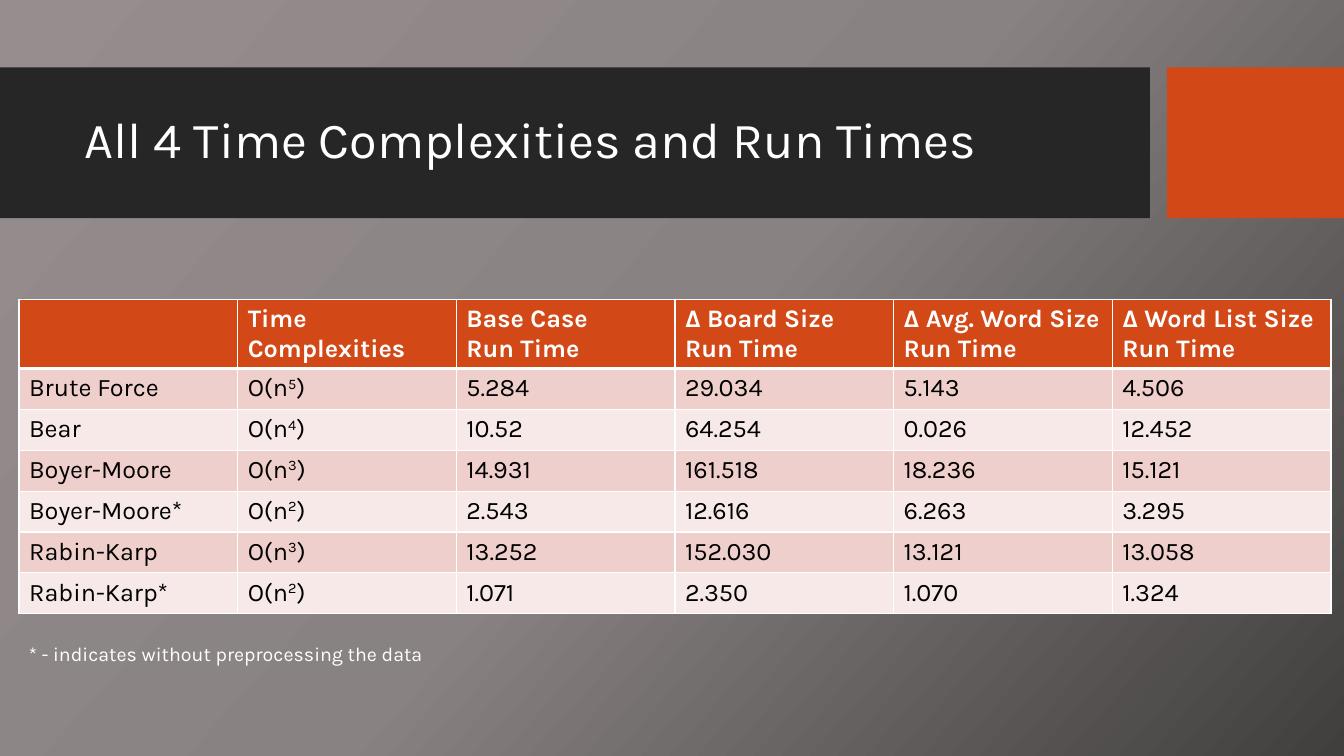
"""Build the slide of time complexities and run times."""
import copy
import pptx
import pptx.dml.color
import pptx.enum.shapes
import pptx.enum.text
import pptx.oxml
import pptx.oxml.ns
import pptx.util

Cm, Pt = pptx.util.Cm, pptx.util.Pt
RGB = pptx.dml.color.RGBColor.from_string
qn = pptx.oxml.ns.qn


class Theme:
    font = "Karla"
    white, black = "FFFFFF", "000000"
    dark, rust = "262626", "D34817"
    bands = ("EFCFCC", "F7E9E8")
    fade = ((0, "968E8E"), (0.5, "898282"), (1, "413E3E"))
    angle = 318
    head, body, note = 36, 18, 14
    thin, thick = 1, 3


class Deck:
    def __init__(self, theme):
        self.theme = theme
        self.file = pptx.Presentation()
        self.file.slide_width = Cm(33.87)
        self.file.slide_height = Cm(19.05)
        self.slide = self.file.slides.add_slide(self.file.slide_layouts[5])

    def style(self, item, values):
        for name, value in values.items():
            setattr(item, name, value)

    def place(self, shape, box):
        names = ("left", "top", "width", "height")
        self.style(shape, dict(zip(names, map(Cm, box))))

    def letter(self, para, text, size, color, bold=False):
        for turn, part in enumerate(text.split("^")):
            run = para.add_run()
            run.text = part
            self.style(run.font, {"name": self.theme.font, "size": Pt(size), "bold": bold})
            run.font.color.rgb = RGB(color)
            if turn % 2:
                run.font._element.set("baseline", "30000")

    def paint(self, item, color):
        item.fill.solid()
        item.fill.fore_color.rgb = RGB(color)

    def ground(self):
        fill = self.slide.background.fill
        fill.gradient()
        fill.gradient_angle = self.theme.angle
        stops = self.slide.element.find(".//" + qn("a:gsLst"))
        stops.append(copy.deepcopy(stops[0]))
        for stop, (place, color) in zip(fill.gradient_stops, self.theme.fade):
            stop.position = place
            stop.color.rgb = RGB(color)

    def bar(self, box, color):
        kind = pptx.enum.shapes.MSO_SHAPE.RECTANGLE
        shape = self.slide.shapes.add_shape(kind, *map(Cm, box))
        shape.shadow.inherit = False
        self.paint(shape, color)
        shape.line.fill.background()

    def title(self, box, text):
        shape = self.slide.shapes.title
        self.slide.shapes._spTree.append(shape._element)
        self.place(shape, box)
        self.style(shape.text_frame, {
            "word_wrap": True,
            "auto_size": pptx.enum.text.MSO_AUTO_SIZE.NONE,
            "vertical_anchor": pptx.enum.text.MSO_ANCHOR.MIDDLE,
        })
        para = shape.text_frame.paragraphs[0]
        self.style(para, {"alignment": pptx.enum.text.PP_ALIGN.LEFT, "line_spacing": 0.9})
        self.letter(para, text, self.theme.head, self.theme.white)

    def note(self, box, text):
        frame = self.slide.shapes.add_textbox(*map(Cm, box)).text_frame
        frame.word_wrap = True
        self.letter(frame.paragraphs[0], text, self.theme.note, self.theme.white)

    def edge(self, cell, widths):
        props = cell._tc.get_or_add_tcPr()
        for side, width in zip("LRTB", widths):
            line = pptx.oxml.parse_xml(
                f'<a:ln{side} {pptx.oxml.ns.nsdecls("a")} w="{Pt(width)}"><a:solidFill>'
                f'<a:srgbClr val="{self.theme.white}"/></a:solidFill></a:ln{side}>')
            props.append(line)

    def table(self, box, rows, first, rest):
        look = self.theme
        shape = self.slide.shapes.add_table(len(rows), len(rows[0]), *map(Cm, box))
        grid = shape.table
        for col in grid.columns:
            col.width = Cm(box[2] / len(rows[0]))
        for i, row in enumerate(rows):
            top = i == 0
            grid.rows[i].height = Cm(first if top else rest)
            above = look.thick if i == 1 else look.thin
            below = look.thick if top else look.thin
            for j, text in enumerate(row):
                cell = grid.cell(i, j)
                self.edge(cell, (look.thin, look.thin, above, below))
                self.paint(cell, look.rust if top else look.bands[(i - 1) % 2])
                for k, line in enumerate(text.splitlines()):
                    frame = cell.text_frame
                    para = frame.add_paragraph() if k else frame.paragraphs[0]
                    self.letter(para, line, look.body, look.white if top else look.black, top)


ROWS = (
    ("", "Time Complexities", "Base Case\nRun Time", "Δ Board Size Run Time",
     "Δ Avg. Word Size Run Time", "Δ Word List Size Run Time"),
    ("Brute Force", "O(n^5^)", "5.284", "29.034", "5.143", "4.506"),
    ("Bear", "O(n^4^)", "10.52", "64.254", "0.026", "12.452"),
    ("Boyer-Moore", "O(n^3^)", "14.931", "161.518", "18.236", "15.121"),
    ("Boyer-Moore*", "O(n^2^)", "2.543", "12.616", "6.263", "3.295"),
    ("Rabin-Karp", "O(n^3^)", "13.252", "152.030", "13.121", "13.058"),
    ("Rabin-Karp*", "O(n^2^)", "1.071", "2.350", "1.070", "1.324"),
)


def main():
    deck = Deck(Theme)
    deck.ground()
    deck.bar((0, 1.7, 28.98, 3.8), Theme.dark)
    deck.bar((29.41, 1.7, 4.46, 3.8), Theme.rust)
    deck.title((1.88, 2.08, 26.7, 3), "All 4 Time Complexities and Run Times")
    deck.table((0.48, 7.54, 33.06, 7.92), ROWS, 1.74, 1.03)
    deck.note((0.48, 16.05, 29.64, 0.86), "* - indicates without preprocessing the data")
    deck.file.save("out.pptx")


if __name__ == "__main__":
    main()
